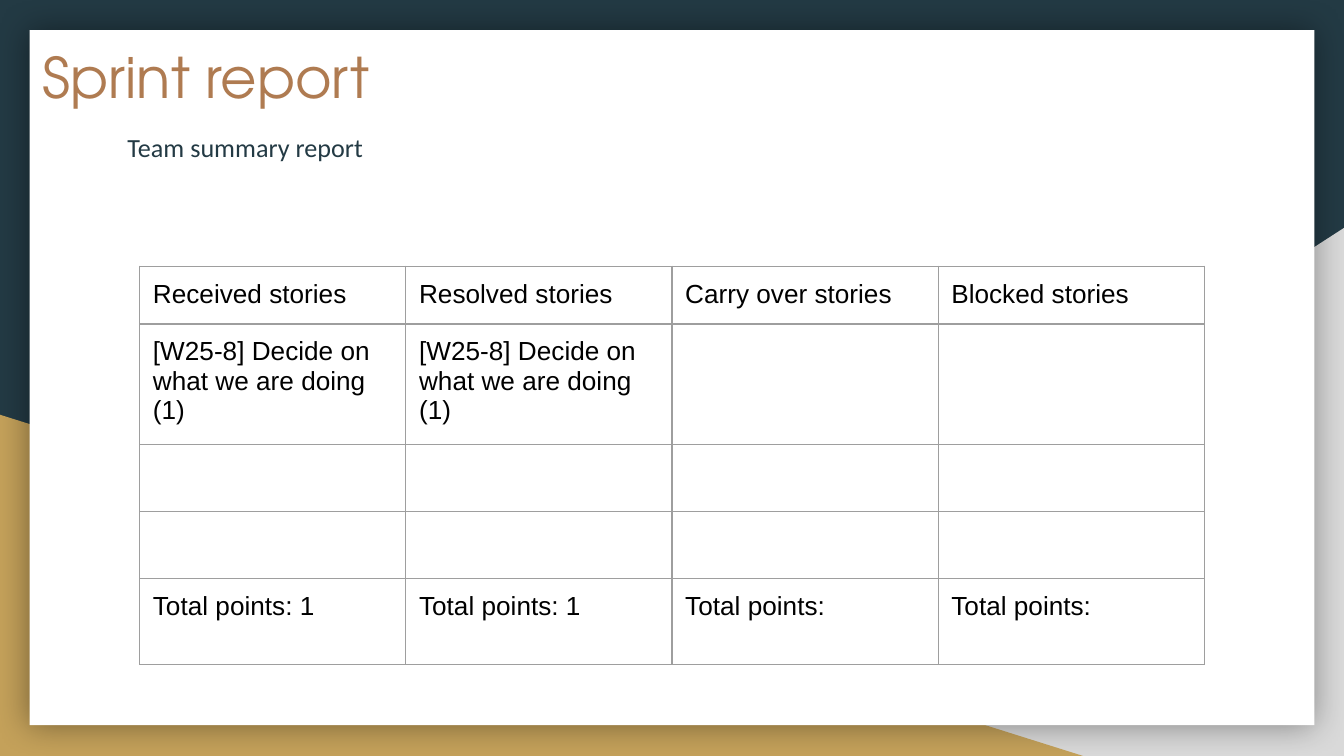
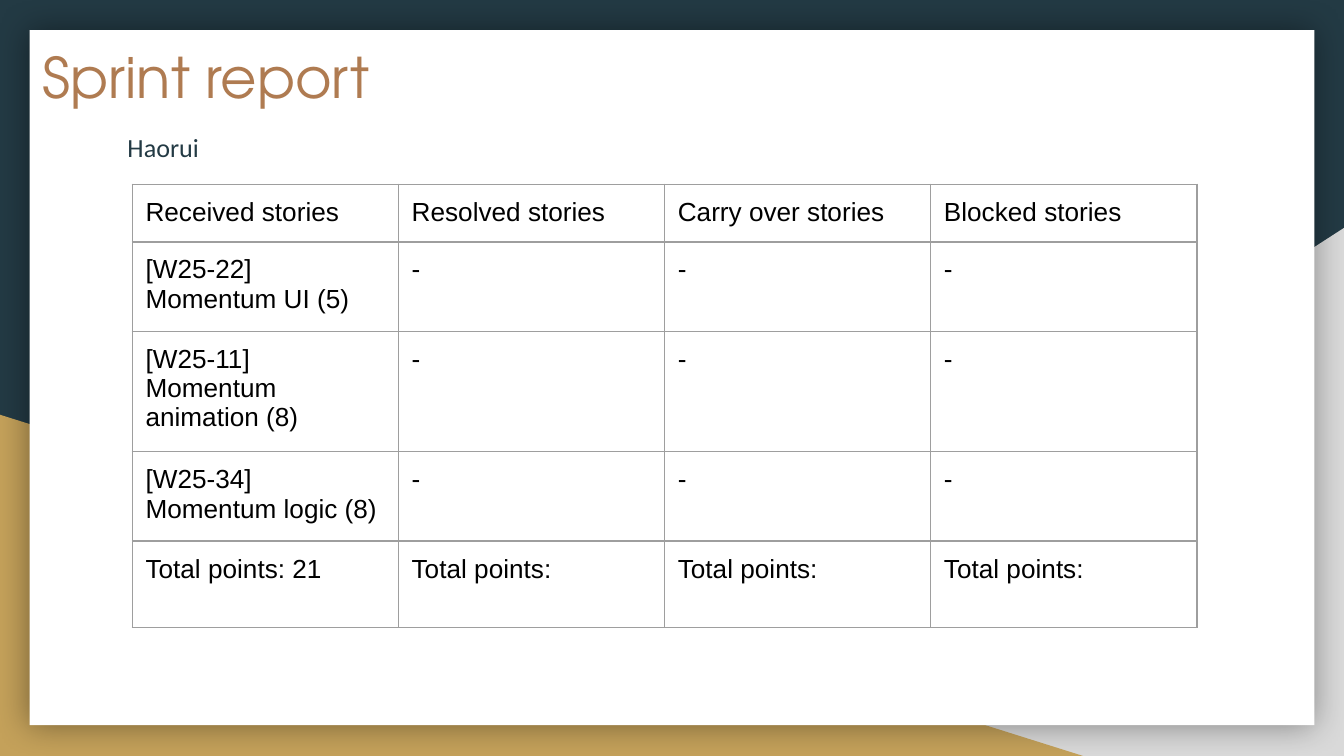
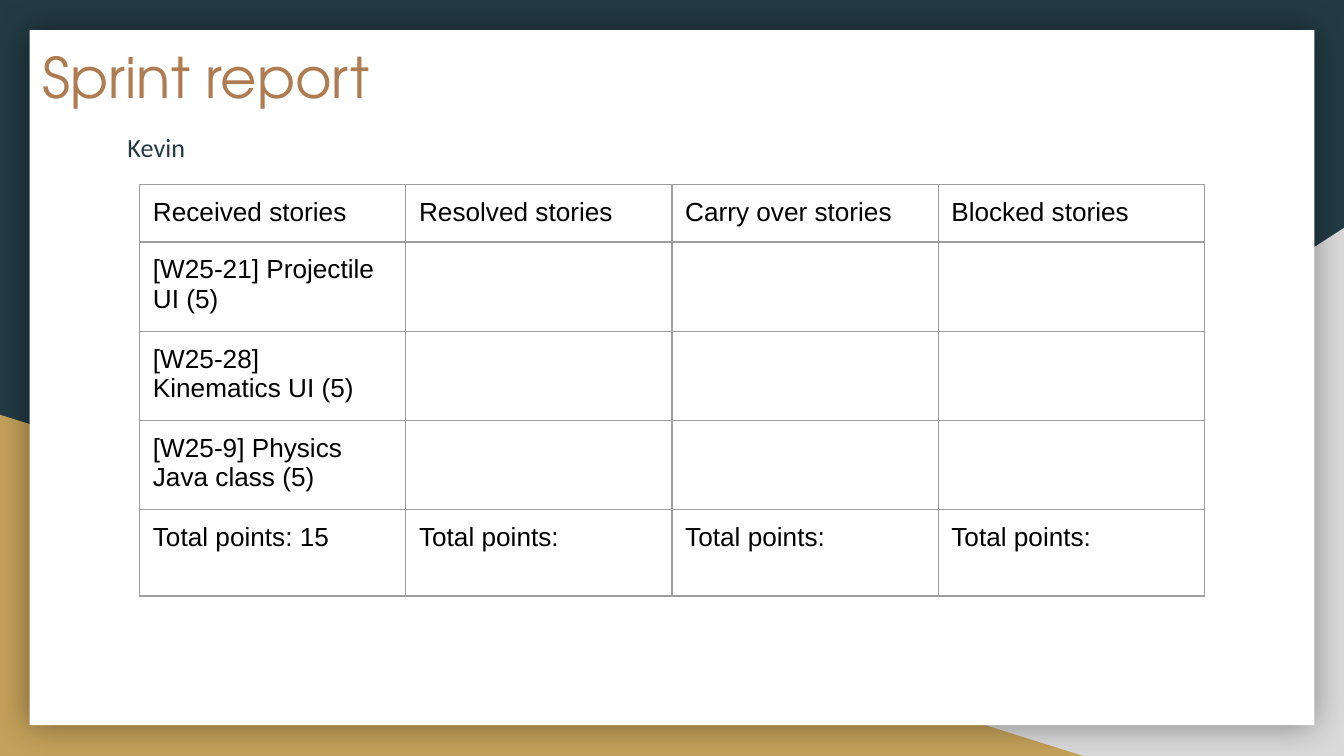
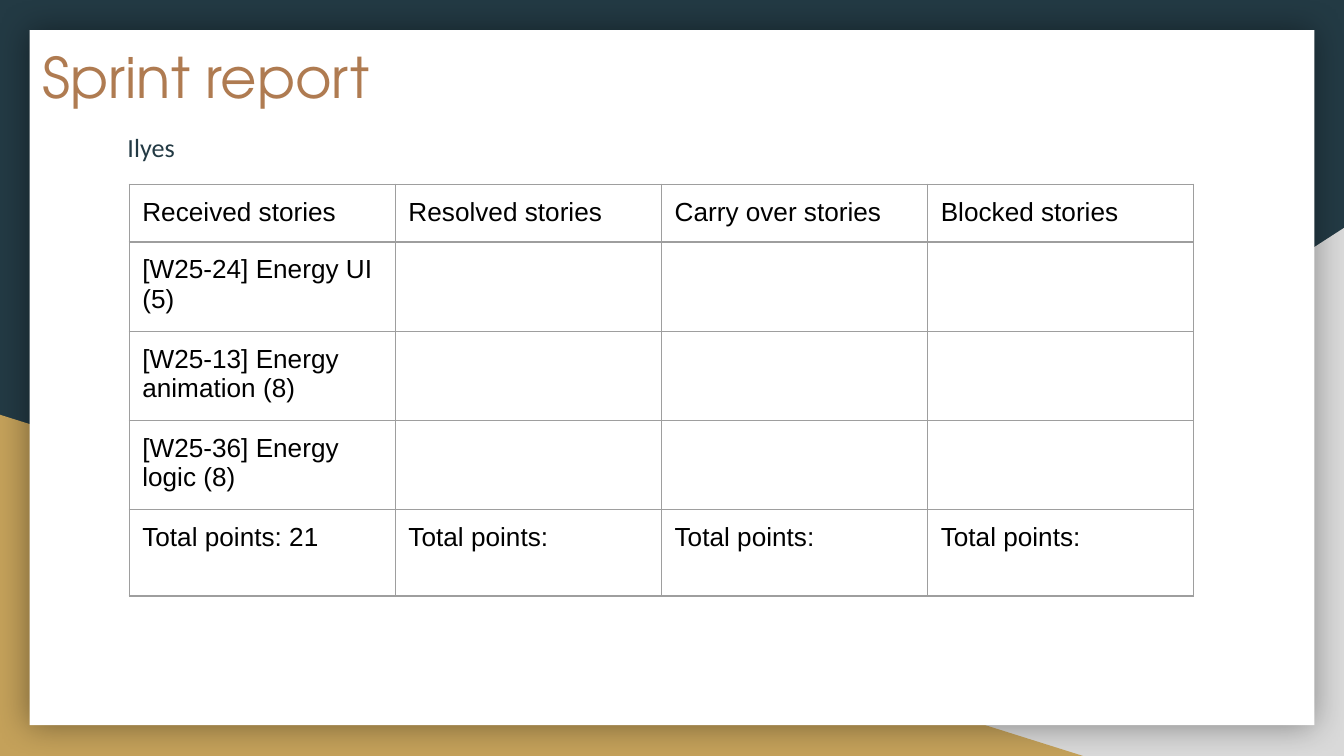
from dataclasses import dataclass

from lxml.etree import SubElement
from pptx import Presentation
from pptx.dml.color import RGBColor
from pptx.enum.shapes import MSO_SHAPE
from pptx.enum.text import MSO_ANCHOR, MSO_AUTO_SIZE, PP_ALIGN
from pptx.oxml.ns import qn
from pptx.slide import Slide, SlideLayout
from pptx.table import _Cell
from pptx.text.text import TextFrame
from pptx.util import Cm, Pt

# Shared look
NAVY = RGBColor(0x23, 0x3A, 0x44)
GREY = RGBColor(0xD9, 0xD9, 0xD9)
GOLD = RGBColor(0xC4, 0xA1, 0x5A)
WHITE = RGBColor(0xFF, 0xFF, 0xFF)
COPPER = RGBColor(0xAF, 0x7B, 0x51)
BLACK = RGBColor(0x00, 0x00, 0x00)
BORDER = RGBColor(0x9E, 0x9E, 0x9E)
TITLE_FONT, LABEL_FONT, TABLE_FONT = "TeX Gyre Adventor", "Calibri", "Arial"

INSET = Cm(0.25)
COLUMN_WIDTH = Cm(5.03)
ROW_HEIGHT = Cm(1.07)
TOTAL_ROW_HEIGHT = Cm(1.63)
TITLE_ONLY = 5
HEADINGS = ("Received stories", "Resolved stories", "Carry over stories", "Blocked stories")


@dataclass(frozen=True)
class Panel:
    kind: MSO_SHAPE
    left: Cm
    top: Cm
    width: Cm
    height: Cm
    color: RGBColor
    flipped: bool = False
    shadowed: bool = False


@dataclass(frozen=True)
class Report:
    label: str
    left: Cm
    top: Cm
    stories: tuple[tuple[str, ...], ...]
    points: tuple[str, ...]


PANELS = (
    Panel(MSO_SHAPE.RIGHT_TRIANGLE, Cm(9.96), Cm(4.31), Cm(15.44), Cm(9.98), GREY, flipped=True),
    Panel(MSO_SHAPE.RIGHT_TRIANGLE, Cm(0), Cm(7.84), Cm(20.47), Cm(6.45), GOLD),
    Panel(MSO_SHAPE.RECTANGLE, Cm(0.56), Cm(0.57), Cm(24.28), Cm(13.14), WHITE, shadowed=True),
)

DECISION = "[W25-8] Decide on what we are doing (1)"
BLANKS = ("", "", "")
DASHES = ("-", "-", "-")

REPORTS = (
    Report("Team summary report", Cm(2.64), Cm(5.03),
           ((DECISION, DECISION, "", ""), ("", *BLANKS), ("", *BLANKS)),
           ("1", "1", "", "")),
    Report("Haorui", Cm(2.5), Cm(3.48),
           (("[W25-22] Momentum UI (5)", *DASHES),
            ("[W25-11]\nMomentum animation (8)", *DASHES),
            ("[W25-34]\nMomentum logic (8)", *DASHES)),
           ("21", *BLANKS)),
    Report("Kevin", Cm(2.64), Cm(3.48),
           (("[W25-21] Projectile UI (5)", *BLANKS),
            ("[W25-28] Kinematics UI (5)", *BLANKS),
            ("[W25-9] Physics Java class (5)", *BLANKS)),
           ("15", *BLANKS)),
    Report("Ilyes", Cm(2.44), Cm(3.48),
           (("[W25-24] Energy UI (5)", *BLANKS),
            ("[W25-13] Energy animation (8)", *BLANKS),
            ("[W25-36] Energy logic (8)", *BLANKS)),
           ("21", *BLANKS)),
)


def write(frame: TextFrame, text: str, *, font: str, size: int, color: RGBColor) -> None:
    """Fill a text frame, one paragraph per line of text."""
    frame.text = text
    for para in frame.paragraphs:
        para.alignment = PP_ALIGN.LEFT
        for span in para.runs:
            span.font.name = font
            span.font.size = Pt(size)
            span.font.color.rgb = color


def set_insets(box: TextFrame | _Cell) -> None:
    box.margin_left = box.margin_right = box.margin_top = box.margin_bottom = INSET
    box.vertical_anchor = MSO_ANCHOR.TOP


def add_color(parent, color: RGBColor):
    return SubElement(parent, qn("a:srgbClr"), val=str(color))


# Background shared through the layout
def add_backdrop(layout: SlideLayout, slide: Slide) -> None:
    """Draw the panels on a slide, then move them behind the layout's placeholders."""
    layout.background.fill.solid()
    layout.background.fill.fore_color.rgb = NAVY
    for index, panel in enumerate(PANELS):
        shape = slide.shapes.add_shape(panel.kind, panel.left, panel.top, panel.width, panel.height)
        shape.fill.solid()
        shape.fill.fore_color.rgb = panel.color
        shape.line.fill.background()
        shape.shadow.inherit = False
        element = shape._element
        if panel.flipped:
            element.spPr.find(qn("a:xfrm")).set("flipH", "1")
        if panel.shadowed:
            effects = element.spPr.find(qn("a:effectLst"))
            shadow = SubElement(effects, qn("a:outerShdw"), blurRad=str(Pt(18)), dist="0",
                                dir="0", algn="ctr", rotWithShape="0")
            SubElement(add_color(shadow, BLACK), qn("a:alpha"), val="40000")
        element.nvSpPr.cNvPr.set("id", str(20 + index))
        layout.shapes._spTree.insert(2 + index, element)


# Slide parts
def add_title(slide: Slide) -> None:
    title = slide.shapes.title
    title.left, title.top, title.width, title.height = Cm(0.56), Cm(0.56), Cm(20.85), Cm(2.64)
    set_insets(title.text_frame)
    title.text_frame.auto_size = MSO_AUTO_SIZE.NONE
    write(title.text_frame, "Sprint report", font=TITLE_FONT, size=30, color=COPPER)


def add_label(slide: Slide, label: str) -> None:
    box = slide.shapes.add_textbox(Cm(2.16), Cm(2.24), Cm(5.18), Cm(1.24))
    set_insets(box.text_frame)
    box.text_frame.word_wrap = True
    write(box.text_frame, label, font=LABEL_FONT, size=14, color=NAVY)


def format_cell(cell: _Cell, text: str) -> None:
    set_insets(cell)
    properties = cell._tc.get_or_add_tcPr()
    for side in ("lnL", "lnR", "lnT", "lnB"):
        line = SubElement(properties, qn(f"a:{side}"), w=str(Pt(0.75)))
        add_color(SubElement(line, qn("a:solidFill")), BORDER)
    cell.fill.background()
    if text:
        write(cell.text_frame, text, font=TABLE_FONT, size=14, color=BLACK)


def add_story_table(slide: Slide, report: Report) -> None:
    totals = tuple(f"Total points: {points}".strip() for points in report.points)
    rows = (HEADINGS, *report.stories, totals)
    frame = slide.shapes.add_table(len(rows), len(HEADINGS), report.left, report.top,
                                   COLUMN_WIDTH * len(HEADINGS), ROW_HEIGHT * len(rows))
    table = frame.table
    table.first_row = table.horz_banding = False
    table.rows[len(rows) - 1].height = TOTAL_ROW_HEIGHT
    for row_index, texts in enumerate(rows):
        for column_index, text in enumerate(texts):
            format_cell(table.cell(row_index, column_index), text)


def main() -> None:
    deck = Presentation()
    deck.slide_width, deck.slide_height = Cm(25.4), Cm(14.29)
    layout = deck.slide_layouts[TITLE_ONLY]
    for report in REPORTS:
        slide = deck.slides.add_slide(layout)
        add_title(slide)
        add_label(slide, report.label)
        add_story_table(slide, report)
    add_backdrop(layout, deck.slides[0])
    deck.save("out.pptx")


if __name__ == "__main__":
    main()
